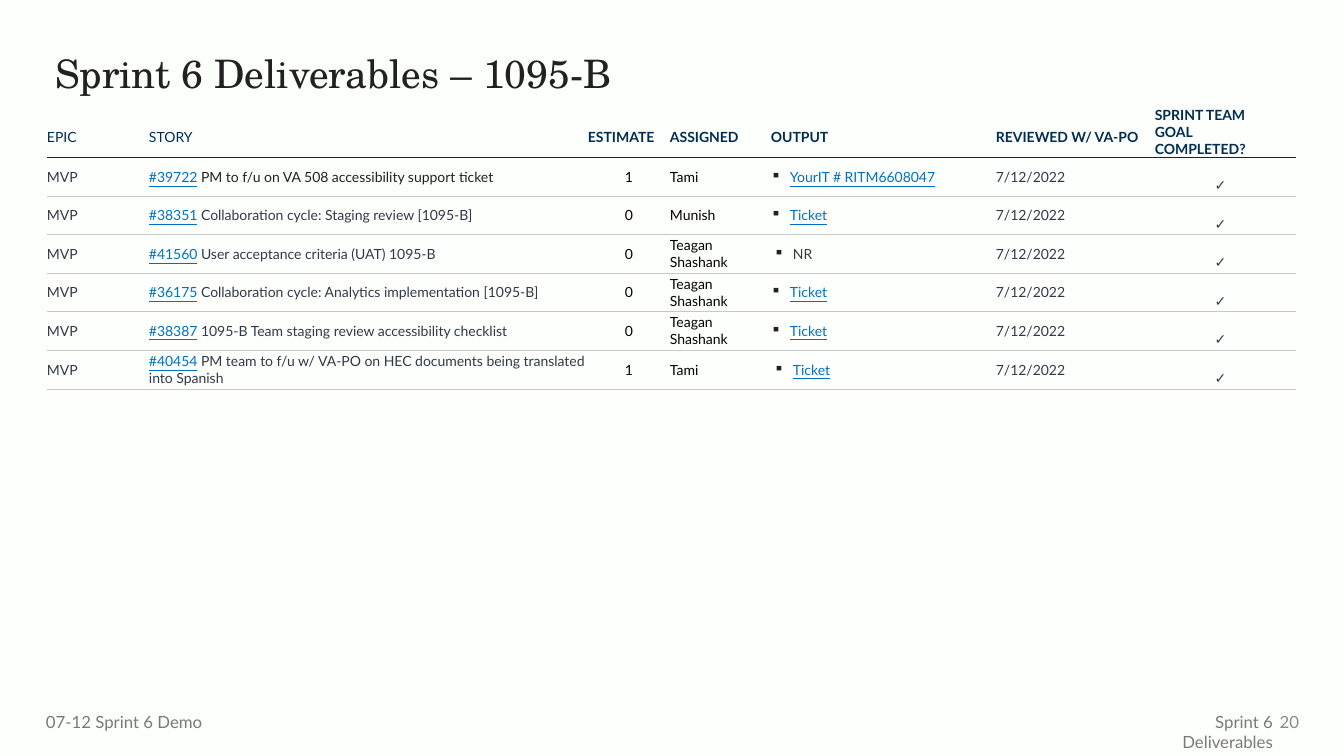
from dataclasses import dataclass

from lxml.etree import SubElement
from pptx import Presentation
from pptx.dml.color import RGBColor
from pptx.enum.text import MSO_ANCHOR as Anchor, MSO_AUTO_SIZE as AutoSize, PP_ALIGN as Align
from pptx.oxml import parse_xml
from pptx.oxml.ns import nsdecls, qn
from pptx.util import Emu, Pt

PX_PER_INCH = 100.8
BODY, SERIF = "Lato", "TeX Gyre Schola"
INK, NAVY, SLATE, BLACK = "202120", "022D50", "303A46", "000000"
LINK, FOOTER_GREY, RULE_GREY = "0071C0", "747C74", "C7C7C7"
NO_STYLE = "{2D5ABB26-0587-4C30-8999-92F81FD0307C}"


def px(length: int) -> Emu:
    return Emu(round(length * 914400 / PX_PER_INCH))


def rgb(hex_colour: str) -> RGBColor:
    return RGBColor.from_string(hex_colour)


@dataclass
class Column:
    heading: str
    width: int
    bold: bool = True
    margins: tuple = (0, 10, 10, 0)  # left, top, right, bottom
    anchor: Anchor = Anchor.MIDDLE


@dataclass
class Deliverable:
    issue: str
    story: str
    estimate: str
    assigned: str
    output: str
    row_height: int
    story_colour: str = SLATE
    output_is_link: bool = True
    output_indent: int = 19


@dataclass
class Caption:
    text: str
    box: tuple
    colour: str
    align: Align = Align.RIGHT
    left_margin: int = 10
    anchor: Anchor = Anchor.TOP


COLUMNS = [
    Column("EPIC", 102, bold=False),
    Column("STORY", 439, bold=False),
    Column("ESTIMATE", 82),
    Column("ASSIGNED", 101),
    Column("OUTPUT", 225, margins=(0, 10, 0, 0)),
    Column("REVIEWED W/ VA-PO", 149, margins=(0, 10, 0, 0)),
    Column("SPRINT TEAM GOAL COMPLETED?", 151, margins=(10, 0, 12, 0), anchor=Anchor.TOP),
]
DELIVERABLES = [
    Deliverable("#39722", "PM to f/u on VA 508 accessibility support ticket",
                "1", "Tami", "YourIT # RITM6608047", 39, story_colour=INK),
    Deliverable("#38351", "Collaboration cycle: Staging review [1095-B]",
                "0", "Munish", "Ticket", 38),
    Deliverable("#41560", "User acceptance criteria (UAT) 1095-B",
                "0", "Teagan Shashank", "NR", 39, output_is_link=False, output_indent=22),
    Deliverable("#36175", "Collaboration cycle: Analytics implementation [1095-B]",
                "0", "Teagan Shashank", "Ticket", 38),
    Deliverable("#38387", "1095-B Team staging review accessibility checklist",
                "0", "Teagan Shashank", "Ticket", 39),
    Deliverable("#40454",
                "PM team to f/u w/ VA-PO on HEC documents being translated into Spanish",
                "1", "Tami", "Ticket", 39, output_indent=22),
]
CAPTIONS = [
    Caption("20", (1265, 702, 44, 40), "8A8A8A", anchor=Anchor.MIDDLE),
    Caption("Sprint 6 Deliverables", (1118, 707, 165, 30), FOOTER_GREY),
    Caption("07-12 Sprint 6 Demo", (46, 707, 300, 30), FOOTER_GREY, Align.LEFT, 0),
]


def set_font(paragraph, size: int, colour: str, name: str = BODY, bold: bool = False) -> None:
    font = paragraph.font
    font.size, font.name, font.bold = Pt(size), name, bold
    font.color.rgb = rgb(colour)


def set_margins(target, left: int, top: int, right: int, bottom: int) -> None:
    target.margin_left, target.margin_top = px(left), px(top)
    target.margin_right, target.margin_bottom = px(right), px(bottom)


def add_bullet(paragraph, indent: int) -> None:
    properties = paragraph._p.get_or_add_pPr()
    properties.set("marL", str(px(indent)))
    properties.set("indent", str(-px(19)))
    colour = SubElement(properties, qn("a:buClr"))
    SubElement(colour, qn("a:srgbClr"), val=INK)
    SubElement(properties, qn("a:buChar"), char="▪")


def add_bottom_rule(cell, colour: str, points: float) -> None:
    cell._tc.get_or_add_tcPr().insert(0, parse_xml(
        f'<a:lnB {nsdecls("a")} w="{Pt(points)}"><a:solidFill>'
        f'<a:srgbClr val="{colour}"/></a:solidFill></a:lnB>'))


def format_cell(cell, margins: tuple, anchor: Anchor, rule: str, rule_points: float):
    set_margins(cell, *margins)
    cell.vertical_anchor = anchor
    cell.fill.background()
    add_bottom_rule(cell, rule, rule_points)
    return cell.text_frame.paragraphs[0]


def add_run(paragraph, text: str, colour: str, link: bool = False) -> None:
    run = paragraph.add_run()
    run.text = text
    run.font.color.rgb = rgb(colour)
    run.font.underline = link


def fill_row(cells, item: Deliverable) -> None:
    flush, name_margins, check_margins = (0, 0, 0, 0), (0, 0, 40, 0), (0, 17, 0, 0)
    margins = [name_margins, flush, flush, name_margins, flush, flush, check_margins]
    epic, story, estimate, assigned, output, reviewed, completed = [
        format_cell(cell, margin, Anchor.MIDDLE, RULE_GREY, 0.75)
        for cell, margin in zip(cells, margins)]

    for paragraph, text, colour, align in [
        (epic, "MVP", SLATE, Align.LEFT),
        (estimate, item.estimate, BLACK, Align.CENTER),
        (assigned, item.assigned, BLACK, Align.LEFT),
        (reviewed, "7/12/2022", SLATE, Align.LEFT),
        (completed, "✓", SLATE, Align.CENTER),
    ]:
        paragraph.text, paragraph.alignment = text, align
        set_font(paragraph, 10, colour)

    set_font(story, 10, item.story_colour)
    add_run(story, item.issue, LINK, link=True)
    add_run(story, f" {item.story}", item.story_colour)

    add_bullet(output, item.output_indent)
    output_colour = LINK if item.output_is_link else "3A3E3A"
    set_font(output, 10, output_colour)
    add_run(output, item.output, output_colour, link=item.output_is_link)


def add_deliverables(slide) -> None:
    frame = slide.shapes.add_table(len(DELIVERABLES) + 1, len(COLUMNS), px(47), px(107),
                                   px(sum(c.width for c in COLUMNS)), px(272))
    table = frame.table
    table.first_row = table.horz_banding = False
    table._tbl.tblPr.find(qn("a:tableStyleId")).text = NO_STYLE
    # Header row
    table.rows[0].height = px(40)
    for index, column in enumerate(COLUMNS):
        table.columns[index].width = px(column.width)
        heading = format_cell(table.cell(0, index), column.margins, column.anchor, INK, 1)
        heading.text = column.heading
        set_font(heading, 10, NAVY, bold=column.bold)
    # Body rows
    for index, item in enumerate(DELIVERABLES, start=1):
        table.rows[index].height = px(item.row_height)
        fill_row(table.rows[index].cells, item)


def add_title(slide) -> None:
    title = slide.shapes.title
    title.left, title.top, title.width, title.height = map(px, (45, 50, 1252, 83))
    frame = title.text_frame
    frame.auto_size, frame.vertical_anchor = AutoSize.NONE, Anchor.TOP
    set_margins(frame, 10, 5, 10, 5)
    heading = frame.paragraphs[0]
    heading.text = "Sprint 6 Deliverables – 1095-B"
    heading.alignment, heading.line_spacing = Align.LEFT, 0.9
    set_font(heading, 28, INK, SERIF)


def add_caption(slide, caption: Caption) -> None:
    frame = slide.shapes.add_textbox(*map(px, caption.box)).text_frame
    frame.word_wrap, frame.vertical_anchor = True, caption.anchor
    set_margins(frame, caption.left_margin, 5, 10, 5)
    line = frame.paragraphs[0]
    line.text, line.alignment = caption.text, caption.align
    set_font(line, 12, caption.colour)


def main() -> None:
    deck = Presentation()
    deck.slide_width, deck.slide_height = px(1344), px(756)
    slide = deck.slides.add_slide(deck.slide_layouts[5])
    slide.background.fill.solid()
    slide.background.fill.fore_color.rgb = rgb("FDFFFD")
    add_title(slide)
    add_deliverables(slide)
    for caption in CAPTIONS:
        add_caption(slide, caption)
    deck.save("out.pptx")


if __name__ == "__main__":
    main()
